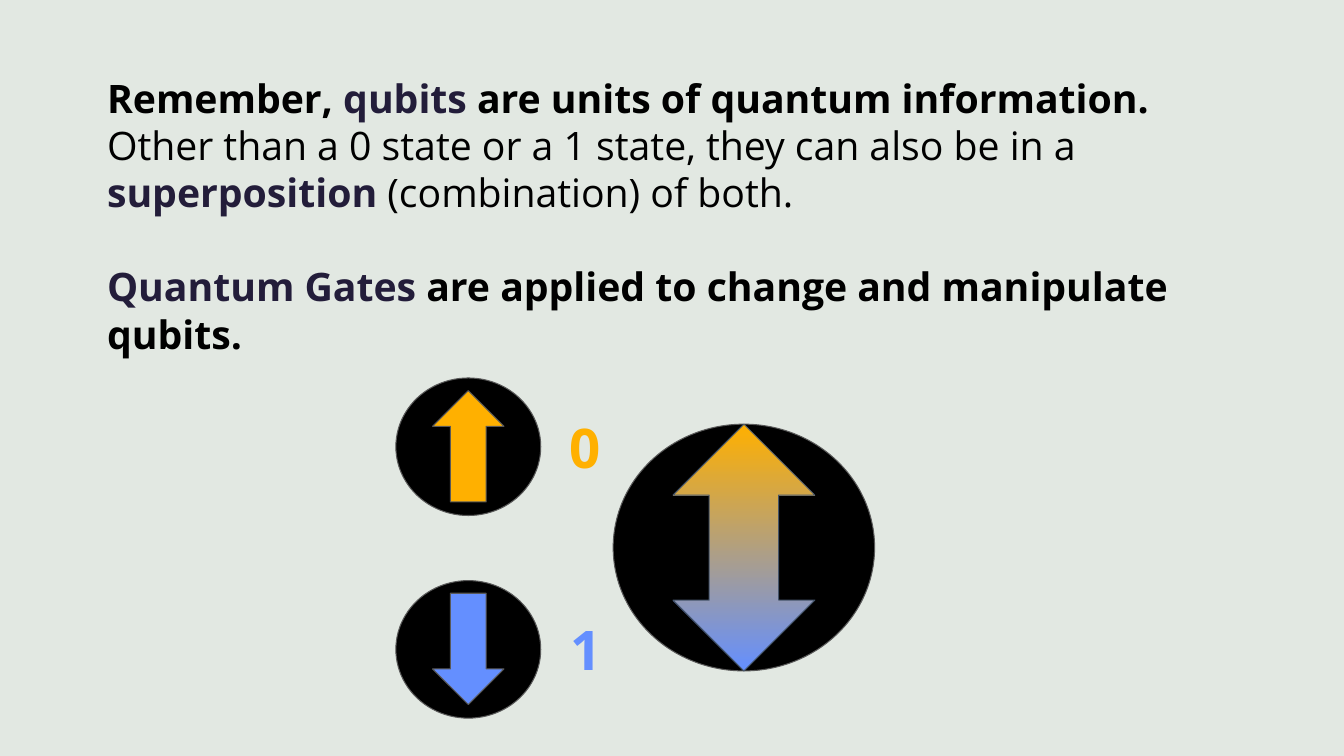
from pptx import Presentation
from pptx.dml.color import RGBColor
from pptx.enum.shapes import MSO_SHAPE
from pptx.enum.text import MSO_ANCHOR, PP_ALIGN
from pptx.util import Pt

PX = 9525
BLACK = RGBColor(0x00, 0x00, 0x00)
INDIGO = RGBColor(0x23, 0x1D, 0x3A)
AMBER = RGBColor(0xFF, 0xB0, 0x00)
BLUE = RGBColor(0x64, 0x8F, 0xFF)
GREY = RGBColor(0x59, 0x59, 0x59)
SLATE = RGBColor(0x44, 0x54, 0x6A)
SAGE = RGBColor(0xE2, 0xE8, 0xE2)

STATEMENTS = [
    [("Remember, ", BLACK, True), ("qubits ", INDIGO, True),
     ("are units of quantum information.", BLACK, True)],
    [("Other than a 0 state or a 1 state, they can also be in a ", BLACK, False),
     ("superposition ", INDIGO, True), ("(combination) of both.", BLACK, False)],
    [("Quantum Gates ", INDIGO, True),
     ("are applied to change and manipulate qubits.", BLACK, True)],
]


def add_text(slide, box, paragraphs, size, inset=(10, 10), align=PP_ALIGN.LEFT,
             gaps=()):
    shape = slide.shapes.add_textbox(*(value * PX for value in box))
    frame = shape.text_frame
    frame.word_wrap = True
    frame.vertical_anchor = MSO_ANCHOR.TOP
    frame.margin_left = frame.margin_right = inset[0] * PX
    frame.margin_top = frame.margin_bottom = inset[1] * PX
    for index, runs in enumerate(paragraphs):
        paragraph = frame.add_paragraph() if index else frame.paragraphs[0]
        paragraph.alignment = align
        if index in gaps:
            paragraph.space_before = Pt(gaps[index])
        for text, color, bold in runs:
            run = paragraph.add_run()
            run.text = text
            run.font.name = "Open Sans"
            run.font.size = Pt(size)
            run.font.bold = bold
            run.font.color.rgb = color


def add_figure(slide, kind, box, colors, line=GREY, rotation=0):
    shape = slide.shapes.add_shape(kind, *(value * PX for value in box))
    shape.shadow.inherit = False
    shape.rotation = rotation
    shape.line.color.rgb = line
    shape.line.width = Pt(0.75)
    if len(colors) == 1:
        shape.fill.solid()
        shape.fill.fore_color.rgb = colors[0]
    else:
        shape.fill.gradient()
        shape.fill.gradient_angle = 270
        for stop, color in zip(shape.fill.gradient_stops, colors):
            stop.color.rgb = color
    return shape


def add_basis_state(slide, box, color, rotation):
    left, top, width, height = box
    add_figure(slide, MSO_SHAPE.OVAL, box, [BLACK])
    arrow_box = (left + 35, top + 12, width - 70, height - 25)
    add_figure(slide, MSO_SHAPE.UP_ARROW, arrow_box, [color], rotation=rotation)


def add_superposition(slide, box):
    left, top, width, height = box
    add_figure(slide, MSO_SHAPE.OVAL, box, [BLACK])
    arrow_box = (left + 57, top, width - 114, height)
    arrow = add_figure(slide, MSO_SHAPE.UP_DOWN_ARROW, arrow_box, [BLUE, AMBER],
                       line=SLATE, rotation=180)
    arrow.adjustments[0] = 0.5
    arrow.adjustments[1] = 0.49


def main():
    presentation = Presentation()
    presentation.slide_width = 1280 * PX
    presentation.slide_height = 720 * PX
    slide = presentation.slides.add_slide(presentation.slide_layouts[6])
    slide.background.fill.solid()
    slide.background.fill.fore_color.rgb = SAGE

    add_superposition(slide, (584, 404, 249, 235))
    add_basis_state(slide, (377, 360, 138, 131), AMBER, 0)
    add_text(slide, (532, 384, 55, 83), [[("0", AMBER, True)]], 39)
    add_basis_state(slide, (377, 553, 138, 131), BLUE, 180)
    add_text(slide, (518, 577, 81, 83), [[("1", BLUE, True)]], 39,
             align=PP_ALIGN.CENTER)
    add_text(slide, (92, 66, 1095, 326), STATEMENTS, 28, inset=(10, 5),
             gaps={2: 33.6})
    presentation.save("out.pptx")


if __name__ == "__main__":
    main()
